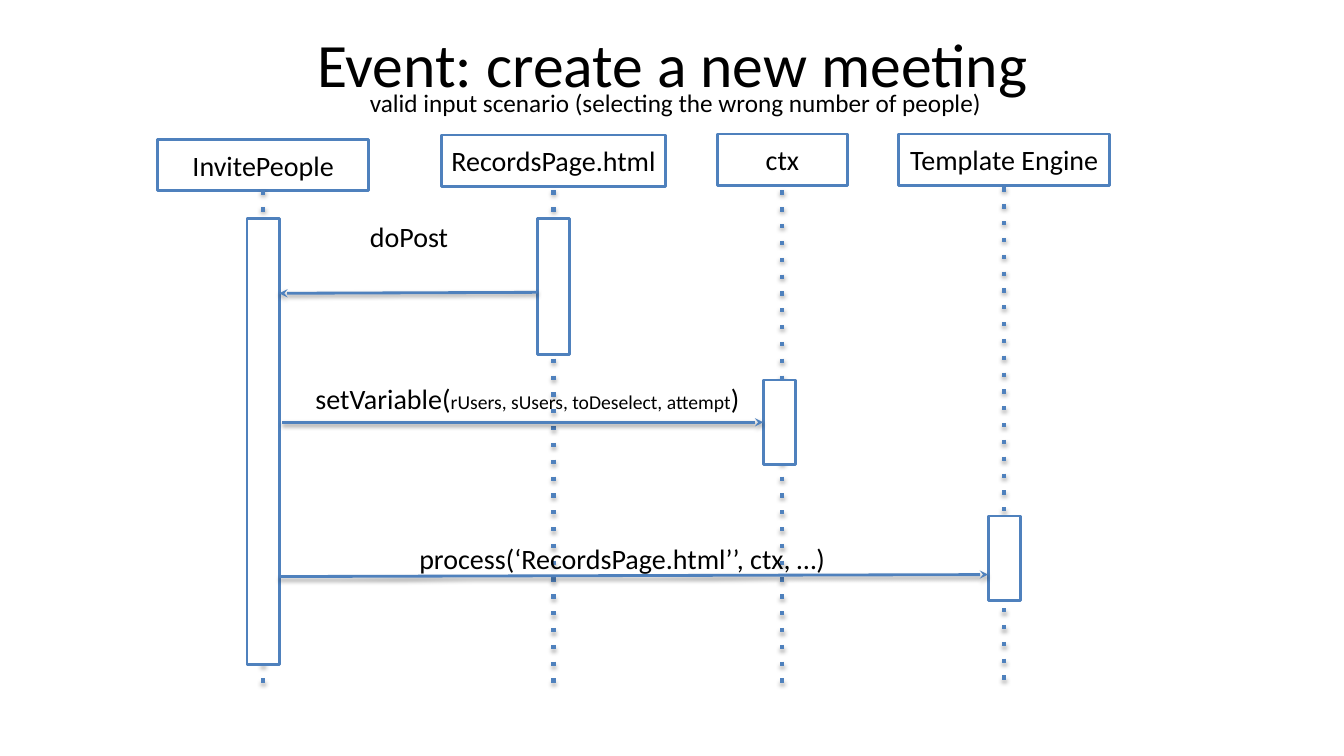
from lxml.etree import SubElement as Sub
from pptx import Presentation
from pptx.dml.color import RGBColor as RGB
from pptx.enum.shapes import MSO_CONNECTOR as LINK, MSO_SHAPE as SHAPE
from pptx.enum.text import MSO_ANCHOR as ANCHOR, PP_ALIGN as ALIGN
from pptx.oxml.ns import qn
from pptx.util import Inches, Pt

COLORS = {"ink": "000000", "paper": "FFFFFF", "blue": "4F81BD"}
FONT = "Calibri"
BAR = 0.32

# name, center, top, width, lifeline top, (bar top, bar height)
ACTORS = [
    ("InvitePeople", 2.61, 1.38, 2.09, 1.89, (2.17, 4.42)),
    ("RecordsPage.html", 5.49, 1.34, 2.23, 1.89, (2.17, 1.35)),
    ("ctx", 7.76, 1.33, 1.29, 1.89, (3.77, 0.84)),
    ("Template Engine", 9.96, 1.33, 2.09, 1.86, (5.12, 0.84)),
]
BAR_SHIFT = {"ctx": -0.03}

# start, end, label box, label runs
CALLS = [
    ((5.33, 2.9), (2.77, 2.91), (3.57, 2.13, 1.1, 0.44), [("doPost", 20)]),
    ((2.8, 4.19), (7.57, 4.19), (3.03, 3.74, 4.57, 0.44),
     [("setVariable(", 20), ("rUsers, sUsers, toDeselect, attempt", 14), (")", 20)]),
    ((2.77, 5.72), (9.8, 5.7), (4.06, 5.32, 4.42, 0.44),
     [("process(‘RecordsPage.html’’, ctx, …)", 20)]),
]


def color(name):
    return RGB.from_string(COLORS[name])


def write(frame, runs, align=ALIGN.LEFT):
    para = frame.paragraphs[0]
    para.alignment = align
    for text, size in runs:
        run = para.add_run()
        run.text = text
        run.font.size = Pt(size)
        run.font.name = FONT
        run.font.color.rgb = color("ink")


def add_text(slide, box, runs, align=ALIGN.LEFT, anchor=ANCHOR.TOP):
    frame = slide.shapes.add_textbox(*map(Inches, box)).text_frame
    frame.word_wrap = True
    frame.vertical_anchor = anchor
    write(frame, runs, align)


def add_box(slide, box, label=None):
    shape = slide.shapes.add_shape(SHAPE.RECTANGLE, *map(Inches, box))
    shape.shadow.inherit = False
    shape.fill.solid()
    shape.fill.fore_color.rgb = color("paper")
    shape.line.color.rgb = color("blue")
    shape.line.width = Pt(2)
    if label:
        shape.text_frame.vertical_anchor = ANCHOR.MIDDLE
        write(shape.text_frame, [(label, 20)], ALIGN.CENTER)


def add_shade(props, dist, alpha):
    """Give a line a soft shadow straight below it."""
    effects = Sub(props, qn("a:effectLst"))
    shade = Sub(effects, qn("a:outerShdw"), blurRad=str(Pt(3.1)),
                dist=str(Pt(dist)), dir="5400000", rotWithShape="0")
    tint = Sub(shade, qn("a:srgbClr"), val=COLORS["ink"])
    Sub(tint, qn("a:alpha"), val=str(alpha * 1000))


def add_line(slide, start, end, arrow):
    """Draw a solid arrow, or else a dotted lifeline."""
    line = slide.shapes.add_connector(LINK.STRAIGHT, *map(Inches, start + end))
    line.line.color.rgb = color("blue")
    line.line.width = Pt(2 if arrow else 3)
    props = line.element.spPr
    stroke = props.find(qn("a:ln"))
    if arrow:
        Sub(stroke, qn("a:tailEnd"), type="stealth")
        add_shade(props, 1.6, 38)
    else:
        Sub(stroke, qn("a:prstDash"), val="dot")
        add_shade(props, 1.8, 35)


def add_actor(slide, name, mid, top, width, start, bar):
    add_box(slide, (mid - width / 2, top, width, 0.51), name)
    add_line(slide, (mid, start), (mid, start + 4.99), arrow=False)
    left = mid - BAR / 2 + BAR_SHIFT.get(name, 0)
    add_box(slide, (left, bar[0], BAR, bar[1]))


def add_call(slide, start, end, box, runs):
    add_line(slide, start, end, arrow=True)
    add_text(slide, box, runs)


def main():
    deck = Presentation()
    deck.slide_width, deck.slide_height = Inches(13.33), Inches(7.5)
    slide = deck.slides.add_slide(deck.slide_layouts[6])
    add_text(slide, (0.67, 0, 12, 1.25), [("Event: create a new meeting", 44)],
             ALIGN.CENTER, ANCHOR.MIDDLE)
    add_text(slide, (3.57, 0.82, 6.29, 0.4),
             [("valid input scenario (selecting the wrong number of people)", 18)])
    for actor in ACTORS:
        add_actor(slide, *actor)
    for call in CALLS:
        add_call(slide, *call)
    deck.save("out.pptx")


if __name__ == "__main__":
    main()
